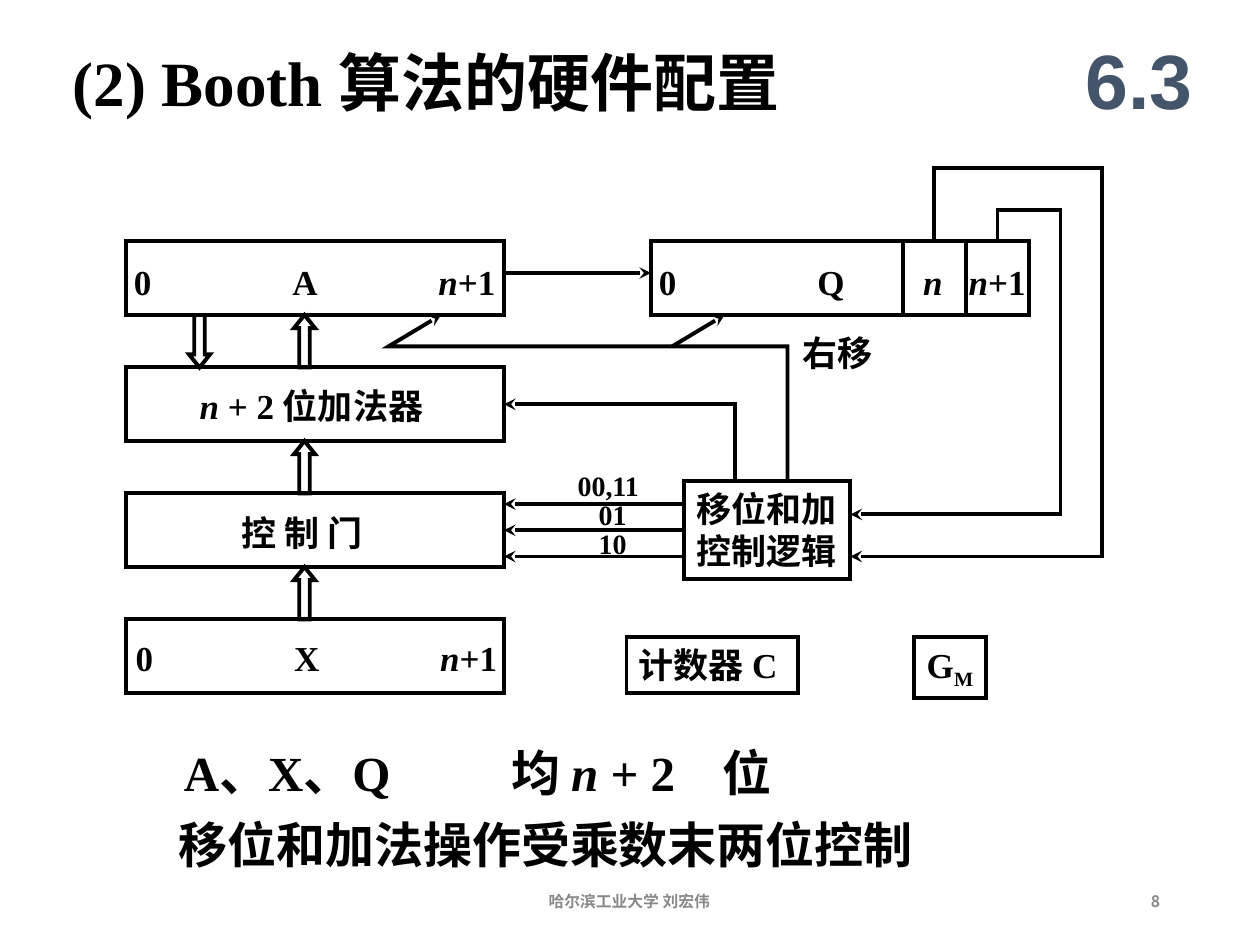
from lxml import etree
from pptx import Presentation
from pptx.dml.color import RGBColor
from pptx.enum.shapes import MSO_CONNECTOR, MSO_SHAPE
from pptx.enum.text import MSO_ANCHOR, PP_ALIGN
from pptx.oxml.ns import qn
from pptx.util import Pt

BLACK = RGBColor(0x00, 0x00, 0x00)
SLATE = RGBColor(0x44, 0x54, 0x6A)
GRAY = RGBColor(0x89, 0x89, 0x89)
SERIF, SANS, CJK = "Times New Roman", "Arial", "Noto Sans CJK SC"
LEFT, CENTER, RIGHT = PP_ALIGN.LEFT, PP_ALIGN.CENTER, PP_ALIGN.RIGHT
TOP, MIDDLE = MSO_ANCHOR.TOP, MSO_ANCHOR.MIDDLE
RECTANGLE, UP_ARROW = MSO_SHAPE.RECTANGLE, MSO_SHAPE.UP_ARROW
STRAIGHT = MSO_CONNECTOR.STRAIGHT
PLAIN, ITALIC, SUBSCRIPT = "plain", "italic", "subscript"


def write(box, lines, size=20, font=SERIF, color=BLACK, align=LEFT,
          anchor=TOP, tabs=(), wrap=True):
    """Fill a box with lines, each a list of (text, style) runs."""
    frame = box.text_frame
    frame.word_wrap = wrap
    frame.vertical_anchor = anchor
    for index, runs in enumerate(lines):
        para = frame.add_paragraph() if index else frame.paragraphs[0]
        para.alignment = align
        if tabs:
            stops = etree.SubElement(para._p.get_or_add_pPr(), qn("a:tabLst"))
            for stop in tabs:
                etree.SubElement(stops, qn("a:tab"), pos=str(Pt(stop)), algn="l")
        for text, style in runs:
            span = para.add_run()
            span.text = text
            span.font.size = Pt(size)
            span.font.bold = True
            span.font.italic = style == ITALIC
            span.font.color.rgb = color
            span.font.name = font
            properties = span._r.get_or_add_rPr()
            etree.SubElement(properties, qn("a:ea"), typeface=CJK)
            if style == SUBSCRIPT:
                properties.set("baseline", "-25000")


def outline(shape, arrow=False):
    """Give a shape or connector the black line, without shadow."""
    shape.line.color.rgb = BLACK
    shape.line.width = Pt(2.25)
    line = shape.line._ln
    etree.SubElement(line, qn("a:miter"), lim="800000")
    if arrow:
        etree.SubElement(line, qn("a:tailEnd"), type="stealth")
    etree.SubElement(shape._element.spPr, qn("a:effectLst"))


deck = Presentation()
deck.slide_width, deck.slide_height = Pt(720), Pt(540)
page = deck.slides.add_slide(deck.slide_layouts[6])
shapes = page.shapes

# Boxes of the block diagram: left, top, width, height
ROW_WIDTH, ROW_HEIGHT = 216, 42
frames = {
    "A": (72, 138, ROW_WIDTH, ROW_HEIGHT),
    "adder": (72, 210, ROW_WIDTH, ROW_HEIGHT),
    "gate": (72, 282, ROW_WIDTH, ROW_HEIGHT),
    "X": (72, 354, ROW_WIDTH, ROW_HEIGHT),
    "Q": (372, 138, ROW_WIDTH, ROW_HEIGHT),
    "control": (391, 275, 94.5, 56),
    "counter": (358, 364, 98, 32),
    "GM": (522.5, 364, 41, 35),
}
boxes = {}
for name, place in frames.items():
    box = shapes.add_shape(RECTANGLE, *map(Pt, place))
    box.fill.background()
    outline(box)
    boxes[name] = box

box_texts = {
    "control": [[("移位和加", PLAIN)], [("控制逻辑", PLAIN)]],
    "counter": [[("计数器 C", PLAIN)]],
    "GM": [[("G", PLAIN), ("M", SUBSCRIPT)]],
}
for name, lines in box_texts.items():
    write(boxes[name], lines, wrap=False)

# Register contents, spread out by tab stops
registers = [
    (76.5, 145.5, (90.5, 174), [("0\tA\t", PLAIN), ("n", ITALIC), ("+1", PLAIN)]),
    (77.5, 360, (90.5, 174), [("0\tX\t", PLAIN), ("n", ITALIC), ("+1", PLAIN)]),
    (376.5, 145.5, (90.5, 151, 177),
     [("0\tQ\t", PLAIN), ("n\tn", ITALIC), ("+1", PLAIN)]),
]
for left, top, tabs, runs in registers:
    box = shapes.add_textbox(Pt(left), Pt(top), Pt(220), Pt(31.5))
    box.text_frame.margin_left = box.text_frame.margin_right = 0
    write(box, [runs], tabs=tabs)

# Other labels: left, top, width, height, size, runs
labels = [
    (34.5, 21.5, 511, 50.5, 36, [("(2) Booth 算法的硬件配置", PLAIN)]),
    (95, 462, 470, 41, 28, [("移位和加法操作受乘数末两位控制", PLAIN)]),
    (107, 216, 150, 31.5, 20, [("n", ITALIC), (" + 2 位加法器", PLAIN)]),
    (131, 289, 90, 31.5, 20, [("控 制 门", PLAIN)]),
    (451.5, 186, 78, 31.5, 20, [("右移", PLAIN)]),
    (323, 264, 56, 26.5, 16, [("00,11", PLAIN)]),
    (335, 281, 32, 26.5, 16, [("01", PLAIN)]),
    (335, 297.5, 32, 26.5, 16, [("10", PLAIN)]),
]
for left, top, width, height, size, runs in labels:
    box = shapes.add_textbox(Pt(left), Pt(top), Pt(width), Pt(height))
    write(box, [runs], size)

# Word length note
box = shapes.add_textbox(Pt(98), Pt(420.5), Pt(370), Pt(41))
write(box, [[("A、X、Q\t均 ", PLAIN), ("n", ITALIC), (" + 2\t位", PLAIN)]],
      28, tabs=(187, 308))

# Section number, footer and page number
corner_texts = [
    (606, 12, 90, 66, "6.3", 44, SANS, SLATE, CENTER),
    (238, 500.5, 243, 29, "哈尔滨工业大学 刘宏伟", 9, CJK, GRAY, CENTER),
    (508, 500.5, 162, 29, "8", 9, CJK, GRAY, RIGHT),
]
for left, top, width, height, text, size, font, color, align in corner_texts:
    box = shapes.add_textbox(Pt(left), Pt(top), Pt(width), Pt(height))
    write(box, [[(text, PLAIN)]], size, font, color, align, MIDDLE)

# Block arrows between the rows: left, top, rotation
for left, top, rotation in [(168, 180, 0), (108, 180, 180),
                            (168, 252, 0), (168, 324, 0)]:
    arrow = shapes.add_shape(UP_ARROW, Pt(left), Pt(top), Pt(12), Pt(30))
    arrow.adjustments[0], arrow.adjustments[1] = 0.5, 0.625
    arrow.rotation = rotation
    arrow.fill.background()
    outline(arrow)

# Straight lines: start, end, arrowhead, joined start, joined end
lines = [
    (516, 138, 516, 180, False, None, None),
    (552, 138, 552, 180, False, None, None),
    (288, 156, 372, 156, True, None, None),
    (384, 198, 414, 180, True, None, None),
    (390, 288, 288, 288, True, None, None),
    (391, 303, 288, 303, True, ("control", 1), ("gate", 3)),
    (390, 318, 288, 318, True, None, None),
    (420, 231, 288, 231, True, None, ("adder", 3)),
    (420, 230, 420, 275, False, None, None),
]
for x1, y1, x2, y2, arrow, start, end in lines:
    line = shapes.add_connector(STRAIGHT, Pt(x1), Pt(y1), Pt(x2), Pt(y2))
    if start:
        line.begin_connect(boxes[start[0]], start[1])
    if end:
        line.end_connect(boxes[end[0]], end[1])
    outline(line, arrow)

# Bent control lines: shift signal, then the two lowest bits of Q
bent_lines = [
    [(450, 274), (450, 198), (222, 198), (252, 180)],
    [(570, 138), (570, 120), (606, 120), (606, 294), (486, 294)],
    [(534, 138), (534, 96), (630, 96), (630, 318), (486, 318)],
]
for points in bent_lines:
    start, *rest = [(Pt(x), Pt(y)) for x, y in points]
    builder = shapes.build_freeform(*start)
    builder.add_line_segments(rest, close=False)
    bent = builder.convert_to_shape()
    bent.fill.background()
    outline(bent, arrow=True)

deck.save("out.pptx")
